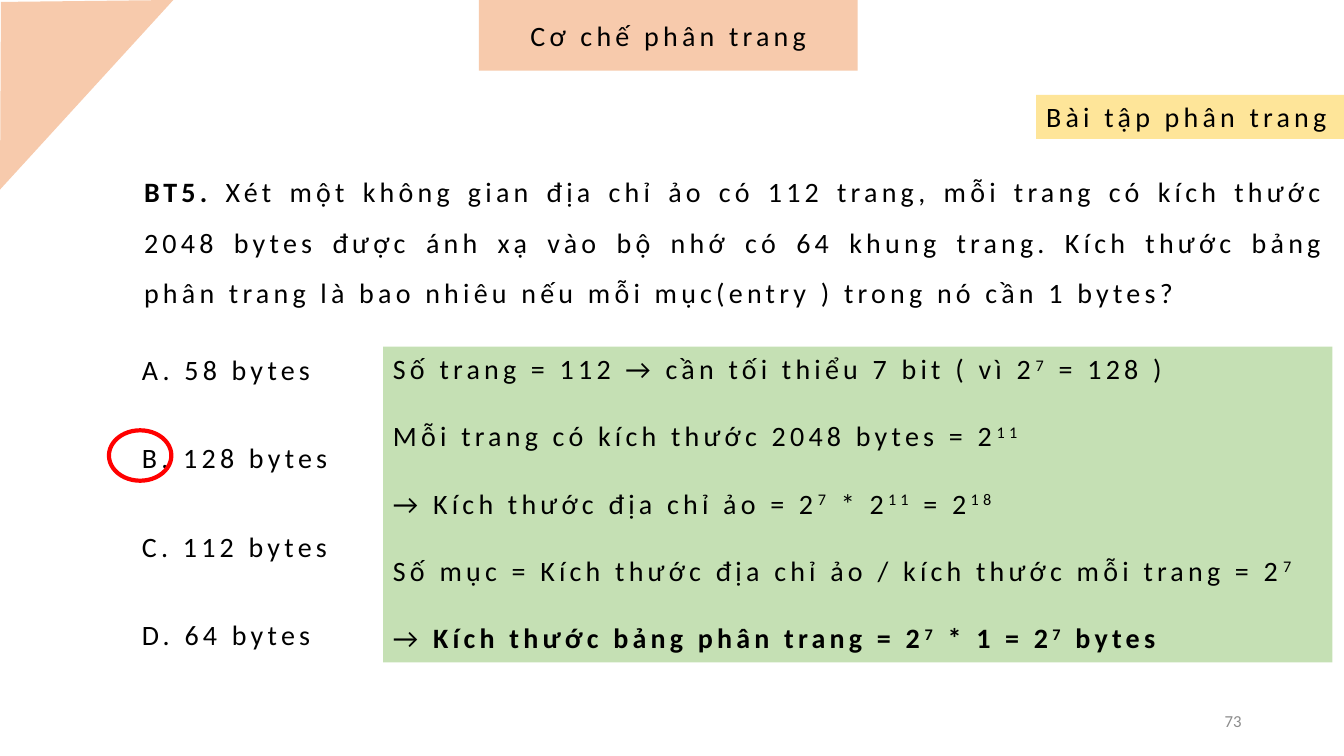
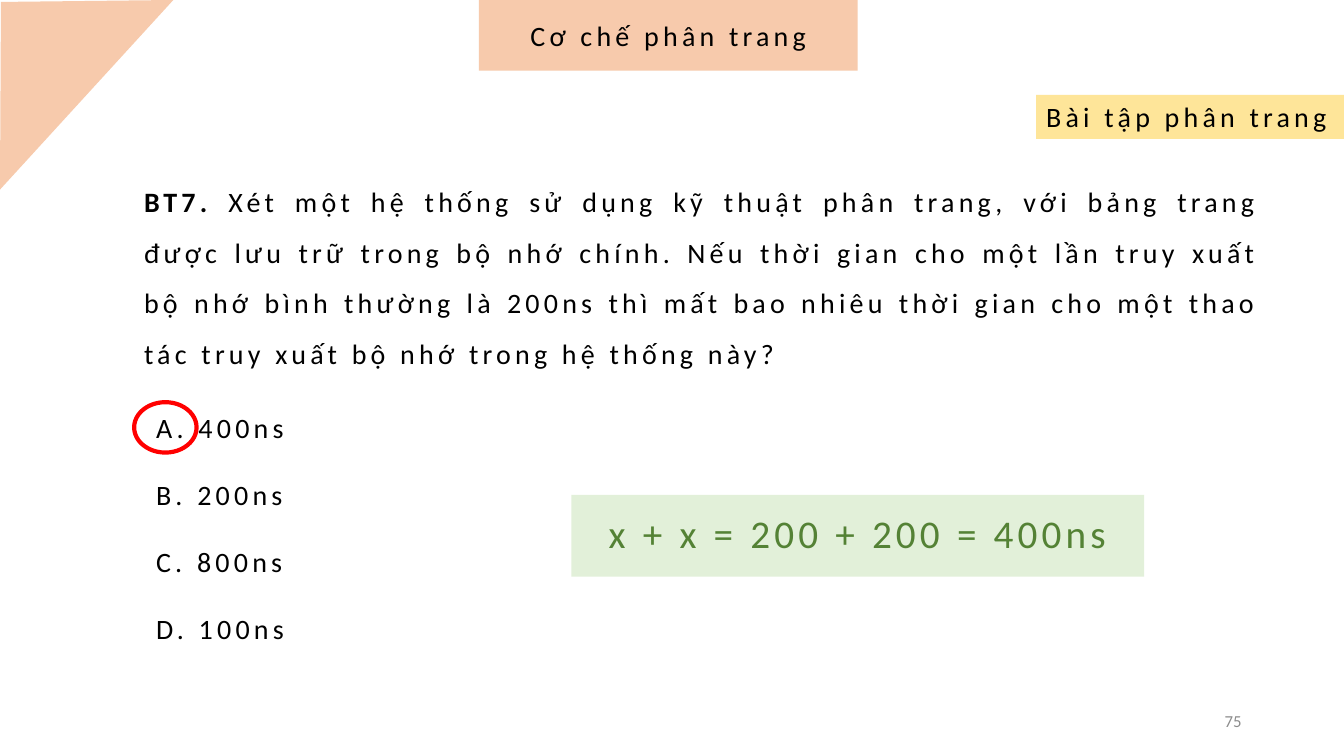
import pptx
import pptx.dml.color
import pptx.enum.shapes
import pptx.enum.text
import pptx.util

Pt = pptx.util.Pt
ALIGN = pptx.enum.text.PP_ALIGN
ANCHOR = pptx.enum.text.MSO_ANCHOR

FONT = "Calibri"
COLOURS = {
    "text": "000000",
    "peach": "F7CAAC",
    "yellow": "FEE599",
    "solution": "C5E0B4",
    "formula": "E2F0D9",
    "formula_text": "548235",
    "marker": "FF0000",
    "number": "8C8C8C",
}
TITLE = "Cơ chế phân trang"
TOPIC = "Bài tập phân trang"


def colour(name):
    return pptx.dml.color.RGBColor.from_string(COLOURS[name])


def paint(shape, fill):
    shape.fill.solid()
    shape.fill.fore_color.rgb = colour(fill)


def place(shape, box):
    shape.left, shape.top, shape.width, shape.height = map(Pt, box)


def add_spans(para, pieces, tracking):
    for text, bold in pieces:
        for index, part in enumerate(text.split("^")):
            if not part:
                continue
            span = para.add_run()
            span.text = part
            if bold:
                span.font.bold = True
            properties = span._r.get_or_add_rPr()
            if tracking:
                properties.set("spc", str(tracking * 100))
            if index % 2:
                properties.set("baseline", "30000")


def write(shape, lines, size=20, ink="text", align=ALIGN.LEFT, anchor=ANCHOR.TOP,
          spacing=1.0, gap=0, tracking=3):
    frame = shape.text_frame
    frame.word_wrap = True
    frame.auto_size = pptx.enum.text.MSO_AUTO_SIZE.NONE
    frame.vertical_anchor = anchor
    frame.margin_left = frame.margin_right = Pt(7.2)
    frame.margin_top = frame.margin_bottom = Pt(3.6)
    for index, line in enumerate(lines):
        para = frame.add_paragraph() if index else frame.paragraphs[0]
        para.alignment = align
        para.line_spacing = spacing
        para.space_before = Pt(gap if index else 0)
        para.font.name = FONT
        para.font.size = Pt(size)
        para.font.color.rgb = colour(ink)
        pieces = [(line, False)] if isinstance(line, str) else line
        add_spans(para, pieces, tracking)


def add_text(page, box, lines, fill=None, **style):
    shape = page.shapes.add_textbox(*map(Pt, box))
    if fill:
        paint(shape, fill)
    write(shape, lines, **style)


def add_corner(page, box):
    left, top, width, height = box
    builder = page.shapes.build_freeform(Pt(left + 0.7), Pt(top + 1.4))
    builder.add_line_segments(
        [(Pt(left), Pt(top + height)), (Pt(left + width), Pt(top))], close=True)
    corner = builder.convert_to_shape()
    corner.shadow.inherit = False
    paint(corner, "peach")
    corner.line.fill.background()


def add_title(page, box):
    title = page.shapes.title
    place(title, box)
    paint(title, "peach")
    write(title, [TITLE], align=ALIGN.CENTER, anchor=ANCHOR.MIDDLE)


def add_exercise_page(deck, number):
    page = deck.slides.add_slide(deck.slide_layouts.get_by_name("Title Only"))
    add_corner(page, (0, 0, 123.8, 135.4))
    add_title(page, (342, 0, 270.7, 50.4))
    add_text(page, (740.2, 67.7, 219.8, 31.5), [TOPIC], fill="yellow")
    add_text(page, (678, 500.5, 216, 28.8), [number], size=12, ink="number",
             align=ALIGN.RIGHT, anchor=ANCHOR.MIDDLE, tracking=0)
    return page


def add_question(page, box, label, question):
    add_text(page, box, [[(label + " ", True), (question, False)]],
             align=ALIGN.JUSTIFY, spacing=1.5)


def add_options(page, box, options, marker_offset, spacing, gap):
    add_text(page, box, options, spacing=spacing, gap=gap)
    marker = page.shapes.add_shape(
        pptx.enum.shapes.MSO_SHAPE.OVAL,
        Pt(box[0] + marker_offset[0]), Pt(box[1] + marker_offset[1]), Pt(44.6), Pt(36))
    marker.shadow.inherit = False
    marker.fill.background()
    marker.line.color.rgb = colour("marker")
    marker.line.width = Pt(3)


def add_table_size_page(deck):
    page = add_exercise_page(deck, "73")
    add_question(
        page, (95.8, 109.4, 858.2, 112.3), "BT5.",
        "Xét một không gian địa chỉ ảo có 112 trang, mỗi trang có kích thước 2048 bytes "
        "được ánh xạ vào bộ nhớ có 64 khung trang. Kích thước bảng phân trang là bao nhiêu "
        "nếu mỗi mục(entry ) trong nó cần 1 bytes?")
    add_options(
        page, (94.3, 250.6, 224.6, 231.8),
        ["A. 58 bytes", "B. 128 bytes", "C. 112 bytes", "D. 64 bytes"],
        marker_offset=(-16.5, 56.8), spacing=0.9, gap=41.6)
    add_text(page, (273.6, 247.7, 678.2, 225.4), [
        "Số trang = 112 → cần tối thiểu 7 bit ( vì 2^7^ = 128 )",
        "Mỗi trang có kích thước 2048 bytes = 2^11^",
        "→ Kích thước địa chỉ ảo = 2^7^ * 2^11^ = 2^18^",
        "Số mục = Kích thước địa chỉ ảo / kích thước mỗi trang = 2^7^",
        [("→ ", False), ("Kích thước bảng phân trang = 2^7^ * 1 = 2^7^ bytes", True)],
    ], fill="solution", gap=24)


def add_access_time_page(deck):
    page = add_exercise_page(deck, "75")
    add_question(
        page, (95.8, 116.6, 810.7, 149), "BT7.",
        "Xét một hệ thống sử dụng kỹ thuật phân trang, với bảng trang được lưu trữ trong "
        "bộ nhớ chính. Nếu thời gian cho một lần truy xuất bộ nhớ bình thường là 200ns thì "
        "mất bao nhiêu thời gian cho một thao tác truy xuất bộ nhớ trong hệ thống này?")
    add_options(
        page, (104.4, 289.4, 382.3, 177.1),
        ["A. 400ns", "B. 200ns", "C. 800ns", "D. 100ns"],
        marker_offset=(-8.6, -2.1), spacing=1.0, gap=24)
    add_text(page, (408.2, 353.5, 409, 58.3), ["x + x = 200 + 200 = 400ns"],
             fill="formula", size=28, ink="formula_text", align=ALIGN.CENTER,
             anchor=ANCHOR.MIDDLE, spacing=0.9)


def main():
    deck = pptx.Presentation()
    deck.slide_width, deck.slide_height = Pt(960), Pt(540)
    add_table_size_page(deck)
    add_access_time_page(deck)
    deck.save("out.pptx")


if __name__ == "__main__":
    main()
